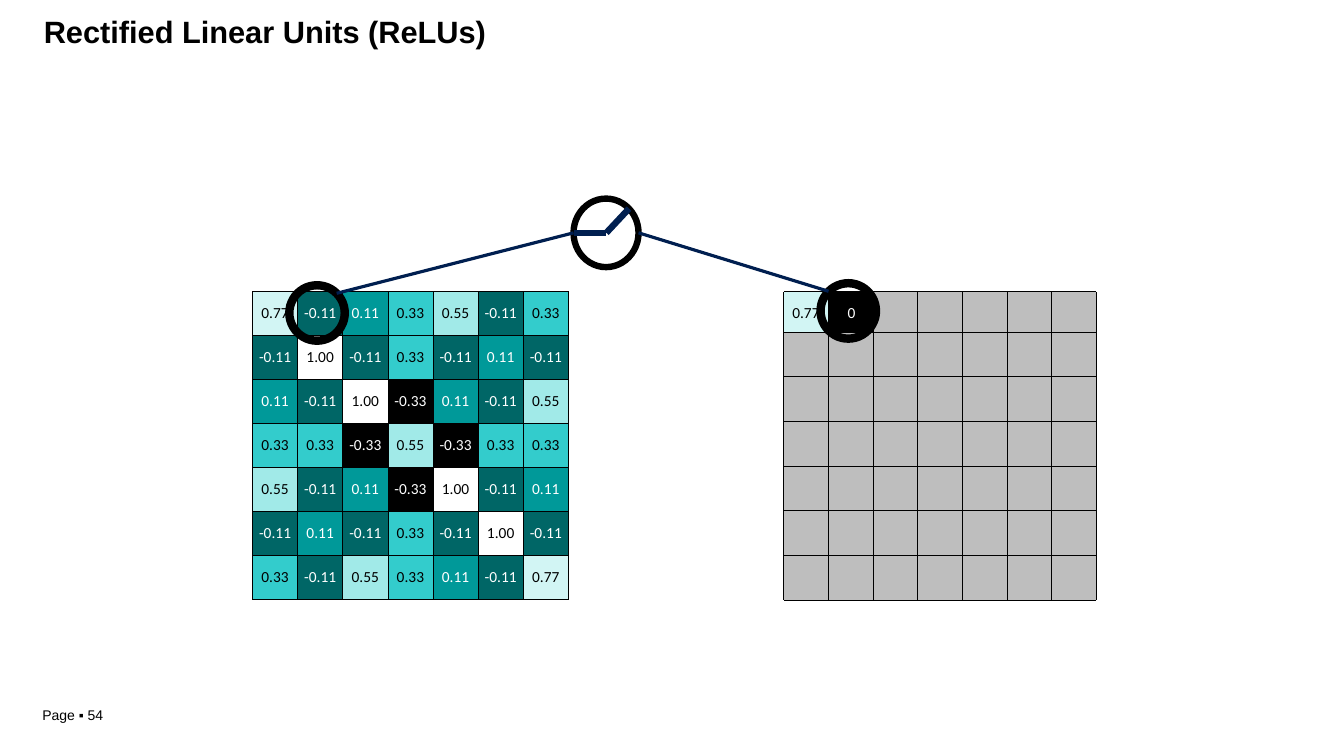
from pptx import Presentation
from pptx import util as u
from pptx.dml.color import RGBColor
from pptx.enum import shapes, text
from pptx.oxml.ns import qn
from lxml import etree

BLACK, WHITE, NAVY, GREY, PALE = "000000", "FFFFFF", "001F50", "BEBEBE", "D2F5F4"
CELL_COLOURS = {
    "1.00": (WHITE, BLACK),
    "0.77": (PALE, BLACK),
    "0.55": ("A1EAE8", BLACK),
    "0.33": ("33CCCC", BLACK),
    "0.11": ("009999", WHITE),
    "-0.11": ("006666", WHITE),
    "-0.33": (BLACK, WHITE),
}
FEATURE_MAP = [
    line.split()
    for line in (
        "0.77 -0.11 0.11 0.33 0.55 -0.11 0.33",
        "-0.11 1.00 -0.11 0.33 -0.11 0.11 -0.11",
        "0.11 -0.11 1.00 -0.33 0.11 -0.11 0.55",
        "0.33 0.33 -0.33 0.55 -0.33 0.33 0.33",
        "0.55 -0.11 0.11 -0.33 1.00 -0.11 0.11",
        "-0.11 0.11 -0.11 0.33 -0.11 1.00 -0.11",
        "0.33 -0.11 0.55 0.33 0.11 -0.11 0.77",
    )
]
SIZE = len(FEATURE_MAP)
PITCH, BAR = 4.43, 0.08


def colour(code):
    return RGBColor.from_string(code)


class ReluSlide:
    step = 0.1
    columns, rows = 133.33, 75

    def __init__(self):
        self.deck = Presentation()
        self.deck.slide_width = self.span(self.columns)
        self.deck.slide_height = self.span(self.rows)
        self.page = self.deck.slides.add_slide(self.deck.slide_layouts[6])

    def span(self, count):
        return u.Inches(count * self.step)

    def style(self, font_holder, font, size, ink, bold=False):
        font_holder.font.name = font
        font_holder.font.size = u.Pt(size)
        font_holder.font.bold = bold
        font_holder.font.color.rgb = colour(ink)

    def label_paragraph(self, left, top, width, height):
        box = self.page.shapes.add_textbox(*map(self.span, (left, top, width, height)))
        frame = box.text_frame
        frame.word_wrap = True
        frame.margin_left = frame.margin_right = 0
        frame.margin_top = frame.margin_bottom = 0
        return frame.paragraphs[0]

    def label(self, words, place, size, bold=False):
        paragraph = self.label_paragraph(*place)
        paragraph.text = words
        self.style(paragraph, "Arial", size, BLACK, bold)

    def tabbed_label(self, pieces, place, tab):
        paragraph = self.label_paragraph(*place)
        stops = etree.SubElement(paragraph._p.get_or_add_pPr(), qn("a:tabLst"))
        etree.SubElement(stops, qn("a:tab"), pos=str(self.span(tab)), algn="l")
        for words, ink in pieces:
            run = paragraph.add_run()
            run.text = words
            self.style(run, "Calibri", 11, ink)

    def polygon(self, points, fill):
        corners = [tuple(map(self.span, point)) for point in points]
        builder = self.page.shapes.build_freeform(*corners[0])
        builder.add_line_segments(corners[1:], close=True)
        outline = builder.convert_to_shape()
        outline.shadow.inherit = False
        outline.fill.solid()
        outline.fill.fore_color.rgb = colour(fill)
        outline.line.fill.background()

    def block(self, left, top, right, bottom, fill):
        self.polygon([(left, top), (right, top), (right, bottom), (left, bottom)], fill)

    def rectified_map(self, left, top, first_row):
        edges_x = [left + PITCH * i for i in range(SIZE + 1)]
        edges_y = [top] + [top + first_row + PITCH * i for i in range(SIZE)]
        right, bottom = edges_x[-1], edges_y[-1]
        self.block(left, top, edges_x[1], edges_y[1], PALE)
        self.block(edges_x[1], top, edges_x[2], edges_y[1], BLACK)
        self.polygon(
            [(right, top), (edges_x[2], top), (edges_x[2], edges_y[1]),
             (left, edges_y[1]), (left, bottom), (right, bottom)],
            GREY,
        )
        self.tabbed_label(
            [("0.77\t", BLACK), ("0", WHITE)], (left + 0.85, top + 1.1, 6.5, 2), 5.5
        )
        for x in edges_x:
            self.block(x - BAR / 2, top, x + BAR / 2, bottom, BLACK)
        for y in edges_y:
            self.block(left, y - BAR / 2, right, y + BAR / 2, BLACK)

    def border(self, cell):
        properties = cell._tc.get_or_add_tcPr()
        for side in ("lnL", "lnR", "lnT", "lnB"):
            line = etree.SubElement(properties, qn("a:" + side), w=str(u.Pt(0.5)))
            fill = etree.SubElement(line, qn("a:solidFill"))
            etree.SubElement(fill, qn("a:srgbClr"), val=BLACK)

    def feature_map(self, left, top, width, height):
        table = self.page.shapes.add_table(
            SIZE, SIZE, *map(self.span, (left, top, width * SIZE, height * SIZE))
        ).table
        table.first_row = table.horz_banding = False
        for column in table.columns:
            column.width = self.span(width)
        for row, numbers in zip(table.rows, FEATURE_MAP):
            row.height = self.span(height)
            for cell, number in zip(row.cells, numbers):
                self.number_cell(cell, number)

    def number_cell(self, cell, number):
        fill, ink = CELL_COLOURS[number]
        self.border(cell)
        cell.fill.solid()
        cell.fill.fore_color.rgb = colour(fill)
        cell.margin_left = cell.margin_right = 0
        cell.margin_top = cell.margin_bottom = 0
        cell.vertical_anchor = text.MSO_ANCHOR.MIDDLE
        cell.text = number
        paragraph = cell.text_frame.paragraphs[0]
        paragraph.alignment = text.PP_ALIGN.CENTER
        self.style(paragraph, "Calibri", 11, ink)

    def ring(self, left, top, width, height, weight):
        ring = self.page.shapes.add_shape(
            shapes.MSO_SHAPE.OVAL, *map(self.span, (left, top, width, height))
        )
        ring.shadow.inherit = False
        ring.fill.background()
        ring.line.color.rgb = colour(BLACK)
        ring.line.width = u.Pt(weight)

    def line(self, start, end, weight):
        line = self.page.shapes.add_connector(
            shapes.MSO_CONNECTOR.STRAIGHT, *map(self.span, start + end)
        )
        line.line.color.rgb = colour(NAVY)
        line.line.width = u.Pt(weight)
        etree.SubElement(line._element.spPr, qn("a:effectLst"))


def main():
    slide = ReluSlide()
    slide.rectified_map(77.75, 28.95, 4)
    slide.label("Rectified Linear Units (ReLUs)", (4.35, 1.3, 44.3, 3.8), 22, bold=True)
    slide.label("Page ▪ 54", (4.2, 70.1, 6.7, 1.7), 10)
    slide.feature_map(25.05, 28.9, 4.48, 4.37)

    slide.ring(28.7, 28.3, 5.5, 5.5, 6)
    slide.ring(81.4, 28.1, 5.5, 5.5, 6)
    slide.ring(56.9, 19.7, 6.45, 6.8, 4.56)

    hinge = (60.15, 23.1)
    unit_left, unit_right = (56.9, 23.1), (63.35, 23.1)
    slide.line(unit_left, hinge, 4.56)
    slide.line(hinge, (62.4, 20.7), 4.56)
    slide.line((33.4, 29.1), unit_left, 2.28)
    slide.line(unit_right, (82.2, 28.9), 2.28)
    slide.deck.save("out.pptx")


if __name__ == "__main__":
    main()
